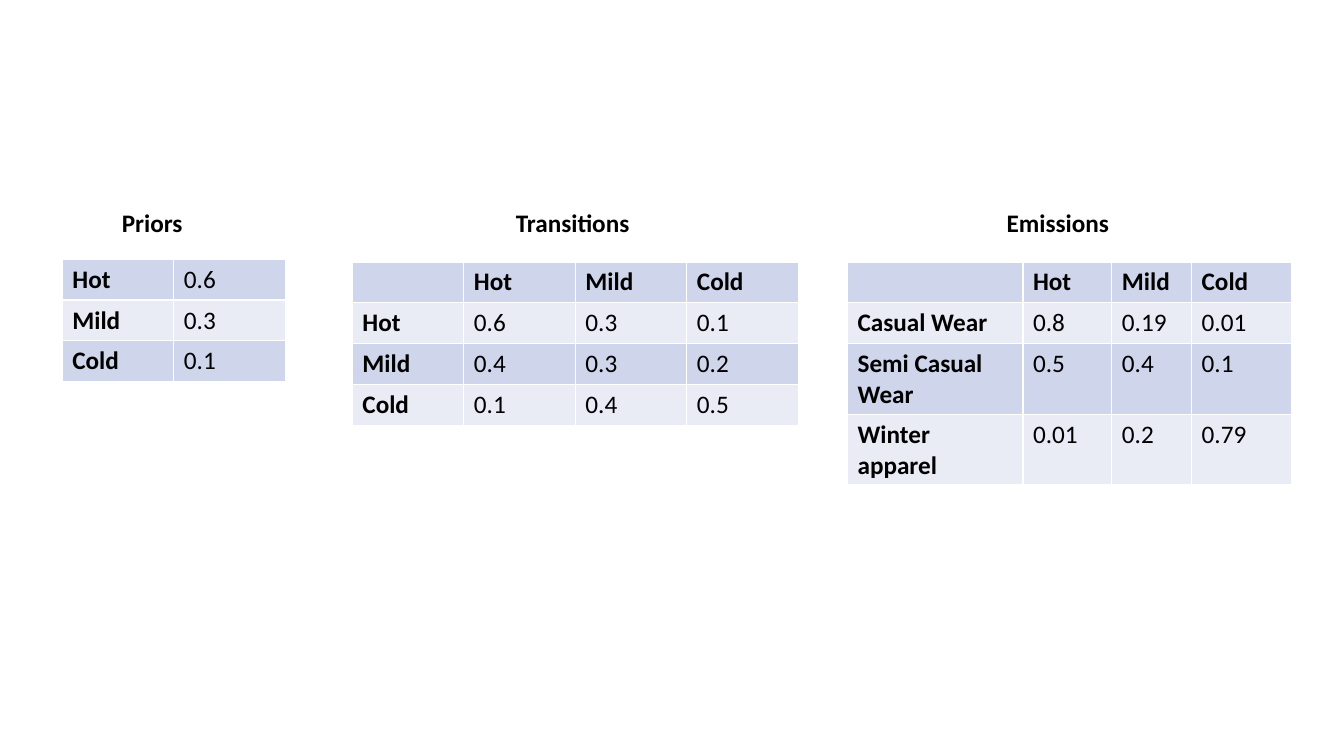
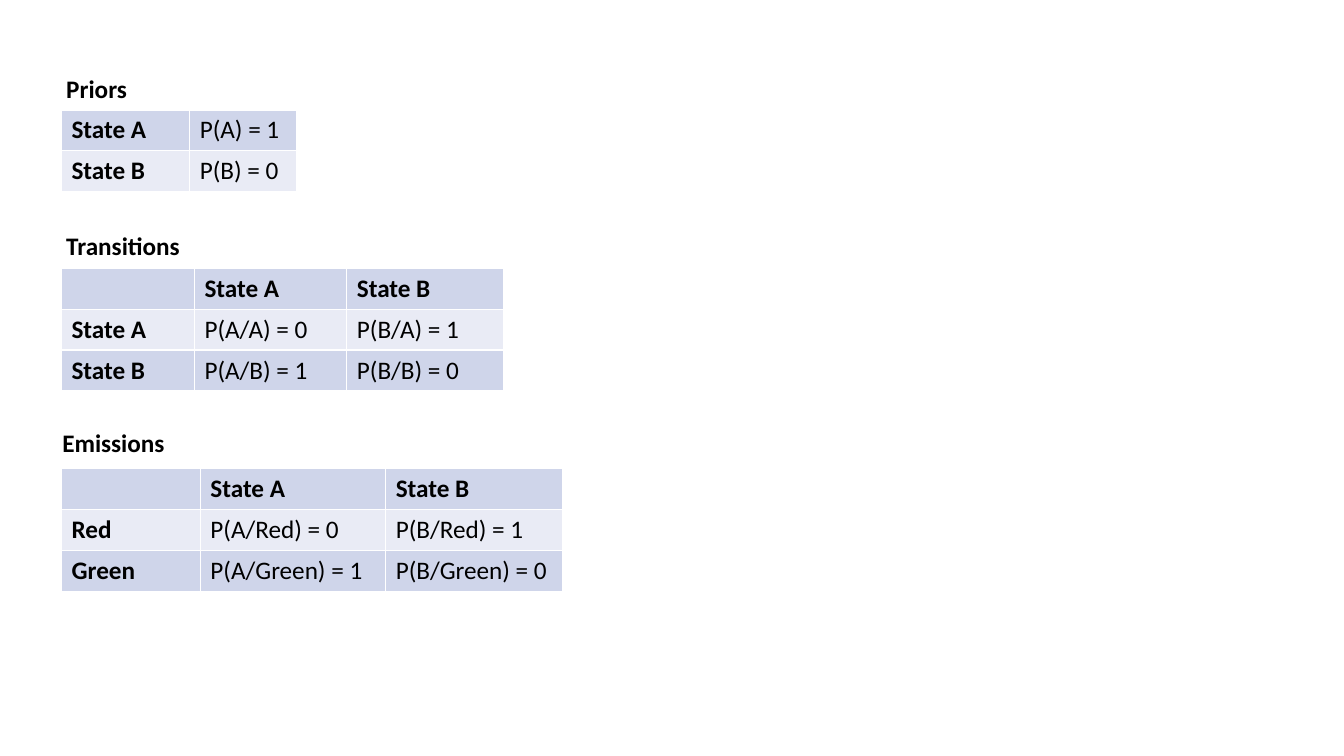
from lxml import etree
from pptx import Presentation
from pptx.dml.color import RGBColor
from pptx.enum.text import MSO_AUTO_SIZE as Auto
from pptx.oxml.ns import qn
from pptx.util import Cm, Pt

FONT, SIZE = "Calibri", 18
INK, EDGE = "000000", "FFFFFF"
BANDS = "CFD5EA", "E9EBF5"
ROW = 1.03
LABEL = 4.14, 1.03

# Each part: label, label place, table place, column widths, rows (all in cm)
WEATHER = [
    ("Priors", (2.82, 5.11), (1.57, 6.53), [2.81] * 2, [
        ("Hot", "0.6"),
        ("Mild", "0.3"),
        ("Cold", "0.1")]),
    ("Transitions", (12.75, 5.11), (8.88, 6.6), [2.81] * 4, [
        ("", "Hot", "Mild", "Cold"),
        ("Hot", "0.6", "0.3", "0.1"),
        ("Mild", "0.4", "0.3", "0.2"),
        ("Cold", "0.1", "0.4", "0.5")]),
    ("Emissions", (25.12, 5.11), (21.36, 6.6), [4.42, 2.24, 2.01, 2.51], [
        ("", "Hot", "Mild", "Cold"),
        ("Casual Wear", "0.8", "0.19", "0.01"),
        ("Semi Casual Wear", "0.5", "0.4", "0.1"),
        ("Winter apparel", "0.01", "0.2", "0.79")]),
]
STATES = [
    ("Priors", (1.42, 1.73), (1.55, 2.77), [3.23, 2.69], [
        ("State A", "P(A) = 1"),
        ("State B", "P(B) = 0")]),
    ("Transitions", (1.42, 5.69), (1.55, 6.76), [3.35, 3.84, 3.94], [
        ("", "State A", "State B"),
        ("State A", "P(A/A) = 0", "P(B/A) = 1"),
        ("State B", "P(A/B) = 1", "P(B/B) = 0")]),
    ("Emissions", (1.32, 10.64), (1.55, 11.81), [3.5, 4.67, 4.47], [
        ("", "State A", "State B"),
        ("Red", "P(A/Red) = 0", "P(B/Red) = 1"),
        ("Green", "P(A/Green) = 1", "P(B/Green) = 0")]),
]


def color(code):
    return RGBColor.from_string(code)


def write(frame, text, bold):
    para = frame.paragraphs[0]
    para.font.size = Pt(SIZE)
    if text:
        run = para.add_run()
        run.text = text
        font = run.font
        font.name, font.size, font.bold = FONT, Pt(SIZE), bold
        font.color.rgb = color(INK)


def add_label(slide, text, spot):
    box = slide.shapes.add_textbox(*map(Cm, spot + LABEL))
    frame = box.text_frame
    frame.word_wrap = True
    frame.auto_size = Auto.SHAPE_TO_FIT_TEXT
    write(frame, text, True)


def style(cell, fill):
    # Borders come before the fill in the cell properties
    props = cell._tc.get_or_add_tcPr()
    for side in ("lnL", "lnR", "lnT", "lnB"):
        line = etree.SubElement(props, qn(f"a:{side}"), w=str(Pt(1)))
        solid = etree.SubElement(line, qn("a:solidFill"))
        etree.SubElement(solid, qn("a:srgbClr"), val=EDGE)
    cell.fill.solid()
    cell.fill.fore_color.rgb = color(fill)


def add_grid(slide, spot, widths, rows):
    size = sum(widths), ROW * len(rows)
    table = slide.shapes.add_table(
        len(rows), len(widths), *map(Cm, spot + size)).table
    table.first_row = False
    for col, width in zip(table.columns, widths):
        col.width = Cm(width)
    headed = rows[0][0] == ""
    for r, row in enumerate(rows):
        for c, text in enumerate(row):
            cell = table.cell(r, c)
            style(cell, BANDS[r % 2])
            write(cell.text_frame, text, c == 0 or (headed and r == 0))


def main():
    deck = Presentation()
    deck.slide_width, deck.slide_height = Cm(33.87), Cm(19.05)
    for parts in (WEATHER, STATES):
        slide = deck.slides.add_slide(deck.slide_layouts[6])
        for label, place, spot, widths, rows in parts:
            add_label(slide, label, place)
            add_grid(slide, spot, widths, rows)
    deck.save("out.pptx")


if __name__ == "__main__":
    main()
